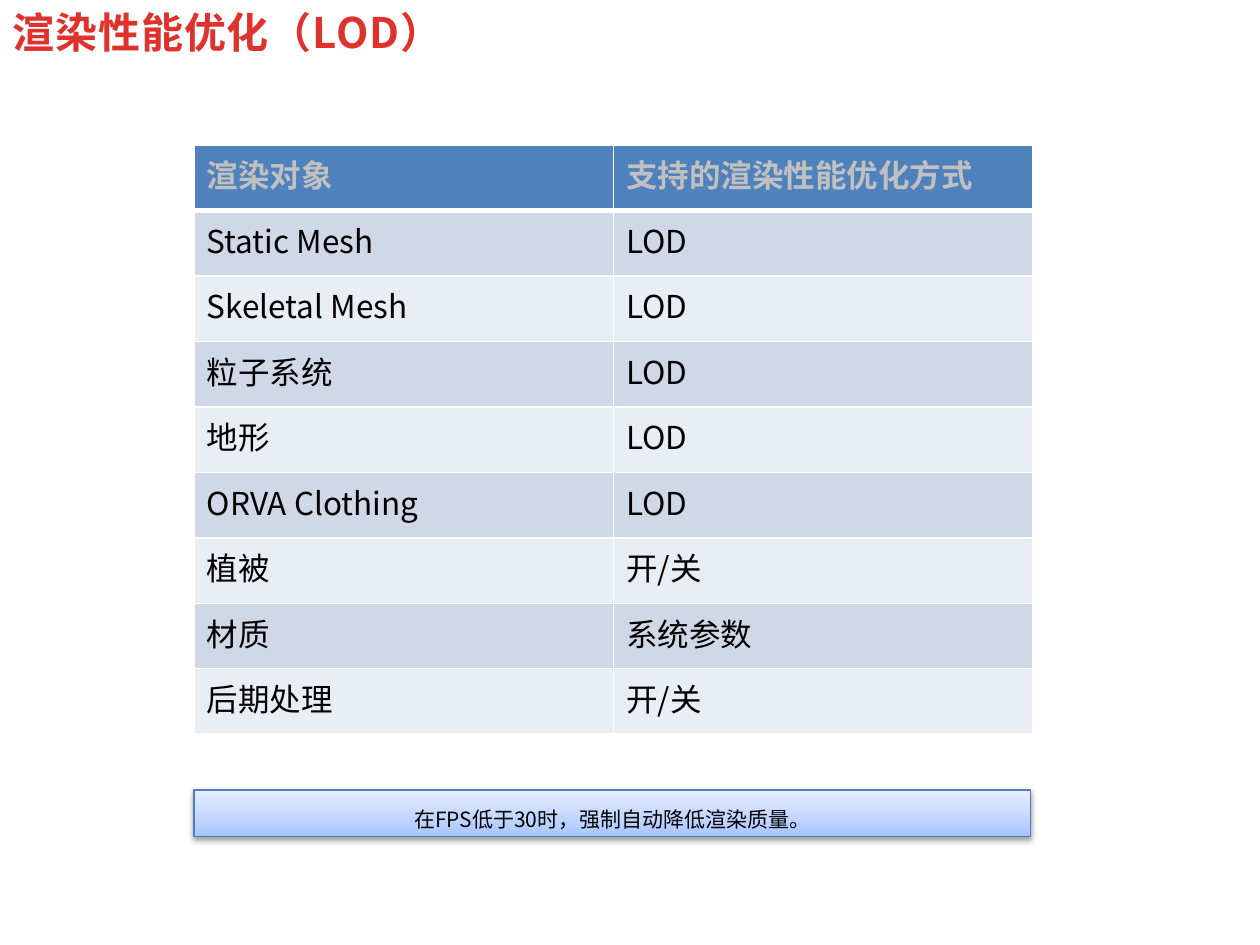
"""Builds the slide on rendering performance optimisation by LOD."""
from dataclasses import dataclass
from typing import Optional

from pptx import Presentation
from pptx.dml.color import RGBColor
from pptx.enum.shapes import MSO_SHAPE as Preset
from pptx.enum.text import MSO_ANCHOR as Anchor, MSO_AUTO_SIZE as AutoSize, PP_ALIGN as Align
from pptx.oxml import parse_xml
from pptx.oxml.ns import nsdecls, qn
from pptx.util import Inches, Pt

NOTO = "Noto Sans CJK SC"
WHITE = "FFFFFF"


@dataclass(frozen=True)
class TextStyle:
    size: float
    color: str
    font: str = NOTO
    bold: bool = False
    spacing: Optional[float] = None


@dataclass(frozen=True)
class RenderTarget:
    name: str
    method: str


TITLE = TextStyle(24, "E0322D", bold=True, spacing=0.5)
HEADER = TextStyle(18, "C0C0C0", font="Calibri", bold=True)
BODY = TextStyle(18, "000000")
NOTE = TextStyle(12, "000000")

HEADINGS = RenderTarget("渲染对象", "支持的渲染性能优化方式")
TARGETS = [
    RenderTarget("Static Mesh", "LOD"),
    RenderTarget("Skeletal Mesh", "LOD"),
    RenderTarget("粒子系统", "LOD"),
    RenderTarget("地形", "LOD"),
    RenderTarget("ORVA Clothing", "LOD"),
    RenderTarget("植被", "开/关"),
    RenderTarget("材质", "系统参数"),
    RenderTarget("后期处理", "开/关"),
]
HEADER_FILL = "4F81BD"
BAND_FILLS = ("D0D8E8", "E9EDF4")
NOTE_STOPS = [(0, "A4C4FF"), (35, "BFD4FF"), (100, "E6EEFF")]


def rgb(value: str) -> RGBColor:
    return RGBColor.from_string(value)


def element(xml: str):
    tag, rest = xml.split(" ", 1)
    return parse_xml(f"<{tag} {nsdecls('a')} {rest}")


def add_run(paragraph, text: str, style: TextStyle) -> None:
    run = paragraph.add_run()
    run.text = text
    run.font.size = Pt(style.size)
    run.font.bold = style.bold
    run.font.name = style.font
    run.font.color.rgb = rgb(style.color)
    properties = run.font._element
    properties.append(element(f'a:ea typeface="{NOTO}"/>'))
    if style.spacing is not None:
        properties.set("spc", str(int(style.spacing * 100)))


def set_borders(cell, top: float, bottom: float) -> None:
    properties = cell._tc.get_or_add_tcPr()
    for order, (side, width) in enumerate((("L", 1), ("R", 1), ("T", top), ("B", bottom))):
        border = element(
            f'a:ln{side} w="{Pt(width)}"><a:solidFill><a:srgbClr val="{WHITE}"/>'
            f"</a:solidFill></a:ln{side}>"
        )
        properties.insert(order, border)


def add_title(slide, text: str) -> None:
    title = slide.shapes.title
    title.left, title.top, title.width, title.height = map(Inches, (0, 0, 9.57, 0.5))
    frame = title.text_frame
    frame.auto_size = AutoSize.NONE
    frame.vertical_anchor = Anchor.TOP
    heading = frame.paragraphs[0]
    heading.alignment = Align.LEFT
    add_run(heading, text, TITLE)


def add_targets(slide) -> None:
    rows = [HEADINGS, *TARGETS]
    table = slide.shapes.add_table(
        len(rows), 2, Inches(1.54), Inches(1.15), Inches(6.66), Inches(0.52 * len(rows))
    ).table
    table.horz_banding = False
    for index, target in enumerate(rows):
        is_header = index == 0
        fill = HEADER_FILL if is_header else BAND_FILLS[(index - 1) % 2]
        for column, text in enumerate((target.name, target.method)):
            cell = table.cell(index, column)
            cell.fill.solid()
            cell.fill.fore_color.rgb = rgb(fill)
            set_borders(cell, top=3 if index == 1 else 1, bottom=3 if is_header else 1)
            add_run(cell.text_frame.paragraphs[0], text, HEADER if is_header else BODY)


def add_note(slide, text: str) -> None:
    banner = slide.shapes.add_shape(
        Preset.RECTANGLE, Inches(1.54), Inches(6.27), Inches(6.64), Inches(0.37)
    )
    banner.line.color.rgb = rgb("4B7EBC")
    banner.line.width = Pt(0.75)
    stops = "".join(
        f'<a:gs pos="{position * 1000}"><a:srgbClr val="{color}"/></a:gs>'
        for position, color in NOTE_STOPS
    )
    properties = banner._element.spPr
    properties.find(qn("a:prstGeom")).addnext(element(
        f'a:gradFill rotWithShape="1"><a:gsLst>{stops}</a:gsLst>'
        '<a:lin ang="16200000" scaled="0"/></a:gradFill>'
    ))
    banner.shadow.inherit = False
    properties.find(qn("a:effectLst")).append(element(
        f'a:outerShdw blurRad="{Pt(3.1)}" dist="{Pt(1.6)}" dir="5400000" rotWithShape="0">'
        '<a:srgbClr val="000000"><a:alpha val="38000"/></a:srgbClr></a:outerShdw>'
    ))
    frame = banner.text_frame
    frame.word_wrap = True
    frame.vertical_anchor = Anchor.MIDDLE
    message = frame.paragraphs[0]
    message.alignment = Align.CENTER
    message.line_spacing = 1.5
    add_run(message, text, NOTE)


def main() -> None:
    deck = Presentation()
    deck.slide_width, deck.slide_height = Inches(10), Inches(7.5)
    slide = deck.slides.add_slide(deck.slide_layouts[5])
    slide.background.fill.solid()
    slide.background.fill.fore_color.rgb = rgb(WHITE)
    add_title(slide, "渲染性能优化（LOD）")
    add_note(slide, "在FPS低于30时，强制自动降低渲染质量。")
    add_targets(slide)
    deck.save("out.pptx")


if __name__ == "__main__":
    main()
